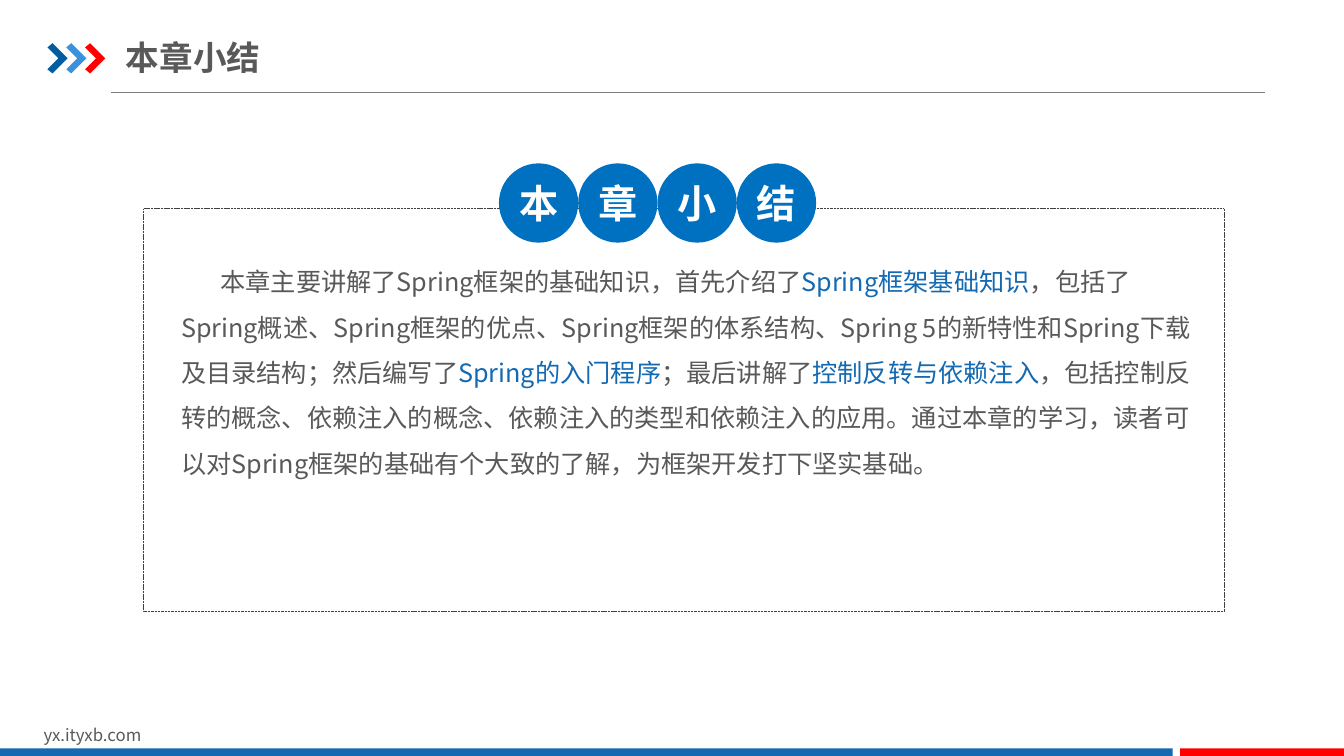
from lxml import etree
from pptx import Presentation
from pptx import util as u
from pptx.dml.color import RGBColor
from pptx.enum import dml, lang, shapes, text
from pptx.oxml import ns

GRAY, BLUE, RED, DISC = "595959", "1369B2", "FF0000", "0070C0"
SHAPE = shapes.MSO_SHAPE


def rgb(value):
    return RGBColor.from_string(value)


def add_run(p, content, size=18, color=GRAY, bold=False, font="Noto Sans CJK SC"):
    r = p.add_run()
    r.text = content
    f = r.font
    f.size, f.bold, f.name = u.Pt(size), bold, font
    f.language_id = lang.MSO_LANGUAGE_ID.SIMPLIFIED_CHINESE
    f.color.rgb = rgb(color)
    latin = r._r.rPr.find(ns.qn("a:latin"))
    latin.addnext(etree.Element(ns.qn("a:ea"), typeface=font))


class Deck:
    """Slide on a grid of 160 columns by 90 rows."""

    def __init__(self):
        self.prs = Presentation()
        self.prs.slide_width, self.prs.slide_height = u.Inches(13.33), u.Inches(7.5)
        self.s = self.prs.slides.add_slide(self.prs.slide_layouts[6])

    def col(self, n):
        return round(self.prs.slide_width * n / 160)

    def row(self, n):
        return round(self.prs.slide_height * n / 90)

    def box(self, x, y, w, h):
        return self.col(x), self.row(y), self.col(w), self.row(h)

    def paint(self, sp, fill):
        sp.shadow.inherit = False
        if fill:
            sp.fill.solid()
            sp.fill.fore_color.rgb = rgb(fill)
        else:
            sp.fill.background()
        sp.line.fill.background()
        return sp

    def shape(self, kind, *at, fill=None):
        return self.paint(self.s.shapes.add_shape(kind, *self.box(*at)), fill)

    def frame(self, *at, color):
        sp = self.shape(SHAPE.ROUNDED_RECTANGLE, *at)
        sp.adjustments[0] = 0
        sp.line.color.rgb = rgb(color)
        sp.line.width = u.Pt(0.25)
        sp.line.dash_style = dml.MSO_LINE.SQUARE_DOT

    def rule(self, x1, x2, y, color):
        c = self.s.shapes.add_connector(
            shapes.MSO_CONNECTOR.STRAIGHT, self.col(x1), self.row(y), self.col(x2), self.row(y))
        c.line.color.rgb = rgb(color)
        c.line.width = u.Pt(0.5)
        etree.SubElement(c._element.spPr, ns.qn("a:effectLst"))

    def chevron(self, x, y, fill):
        outline = [(0, 0.5), (0.6, 0), (2.4, 1.8), (0.6, 3.6), (0, 3.1), (1.3, 1.8)]
        pts = [(self.col(x + dx), self.row(y + dy)) for dx, dy in outline]
        fb = self.s.shapes.build_freeform(*pts[0])
        fb.add_line_segments(pts[1:], close=True)
        self.paint(fb.convert_to_shape(), fill)

    def disc(self, x, y, d, label):
        tf = self.shape(SHAPE.OVAL, x, y, d, d, fill=DISC).text_frame
        tf.margin_left = tf.margin_right = 0
        tf.vertical_anchor = text.MSO_ANCHOR.MIDDLE
        p = tf.paragraphs[0]
        p.alignment = text.PP_ALIGN.CENTER
        add_run(p, label, size=28, color="FFFFFF", bold=True)

    def text(self, *at, runs, inset=(1.2, 0.6), anchor=text.MSO_ANCHOR.TOP,
             spacing=None, indent=0, **fmt):
        tf = self.s.shapes.add_textbox(*self.box(*at)).text_frame
        tf.word_wrap = True
        tf.vertical_anchor = anchor
        tf.margin_left = tf.margin_right = self.col(inset[0])
        tf.margin_top = tf.margin_bottom = self.row(inset[1])
        p = tf.paragraphs[0]
        p.line_spacing = spacing
        if indent:
            p._p.get_or_add_pPr().set("indent", str(self.col(indent)))
        for content, color in runs:
            add_run(p, content, color=color, **fmt)


def main():
    d = Deck()
    d.rule(13.2, 150.6, 10.97, "808080")
    for i, color in enumerate(("005DA2", "3992DB", RED)):
        d.chevron(5.65 + 2.24 * i, 5.15, color)
    d.text(4, 85.65, 38.2, 3.6, runs=[("yx.ityxb.com", GRAY)], size=12)
    d.shape(SHAPE.RECTANGLE, 0, 89.1, 139.6, 1.1, fill=BLUE)
    d.shape(SHAPE.RECTANGLE, 140.5, 89.1, 19.5, 1.1, fill=RED)

    title = "本章小结"
    d.text(15, 3.5, 51.1, 6.6, runs=[(title, GRAY)], inset=(0, 0.8),
           anchor=text.MSO_ANCHOR.MIDDLE, size=24, bold=True)
    d.frame(17.1, 24.84, 128.6, 47.9, color="404040")
    for i, label in enumerate(title):
        d.disc(59.4 + 9.44 * i, 19.45, 9.44, label)

    summary = [
        ("本章主要讲解了Spring框架的基础知识，首先介绍了", GRAY),
        ("Spring框架基础知识", BLUE),
        ("，包括了Spring概述、Spring框架的优点、Spring框架的体系结构、"
         "Spring 5的新特性和Spring下载及目录结构；然后编写了", GRAY),
        ("Spring的入门程序", BLUE),
        ("；最后讲解了", GRAY),
        ("控制反转与依赖注入", BLUE),
        ("，包括控制反转的概念、依赖注入的概念、依赖注入的类型和依赖注入的应用。"
         "通过本章的学习，读者可以对Spring框架的基础有个大致的了解，为框架开发打下坚实基础。", GRAY),
    ]
    d.text(19.95, 29.15, 124.7, 28.2, runs=summary, inset=(1.6, 0.8), spacing=1.5, indent=4.7)
    d.prs.save("out.pptx")


if __name__ == "__main__":
    main()
